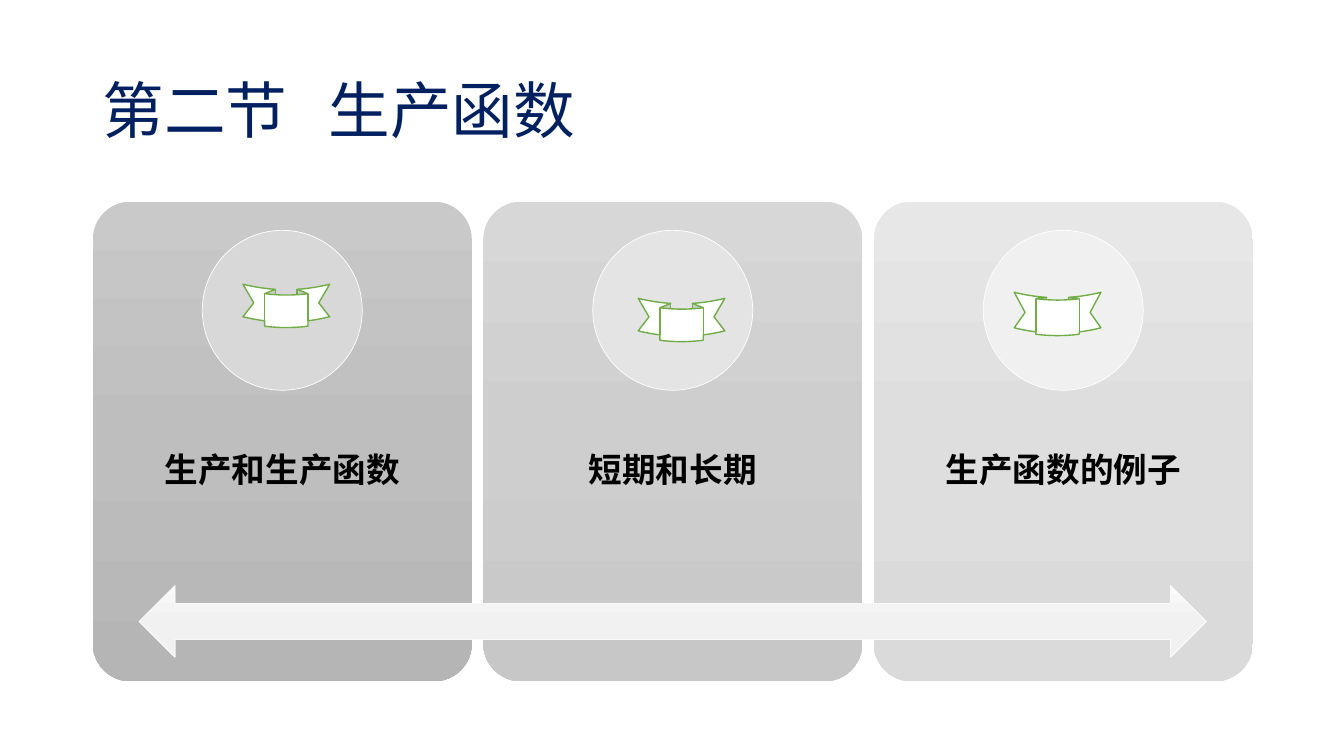
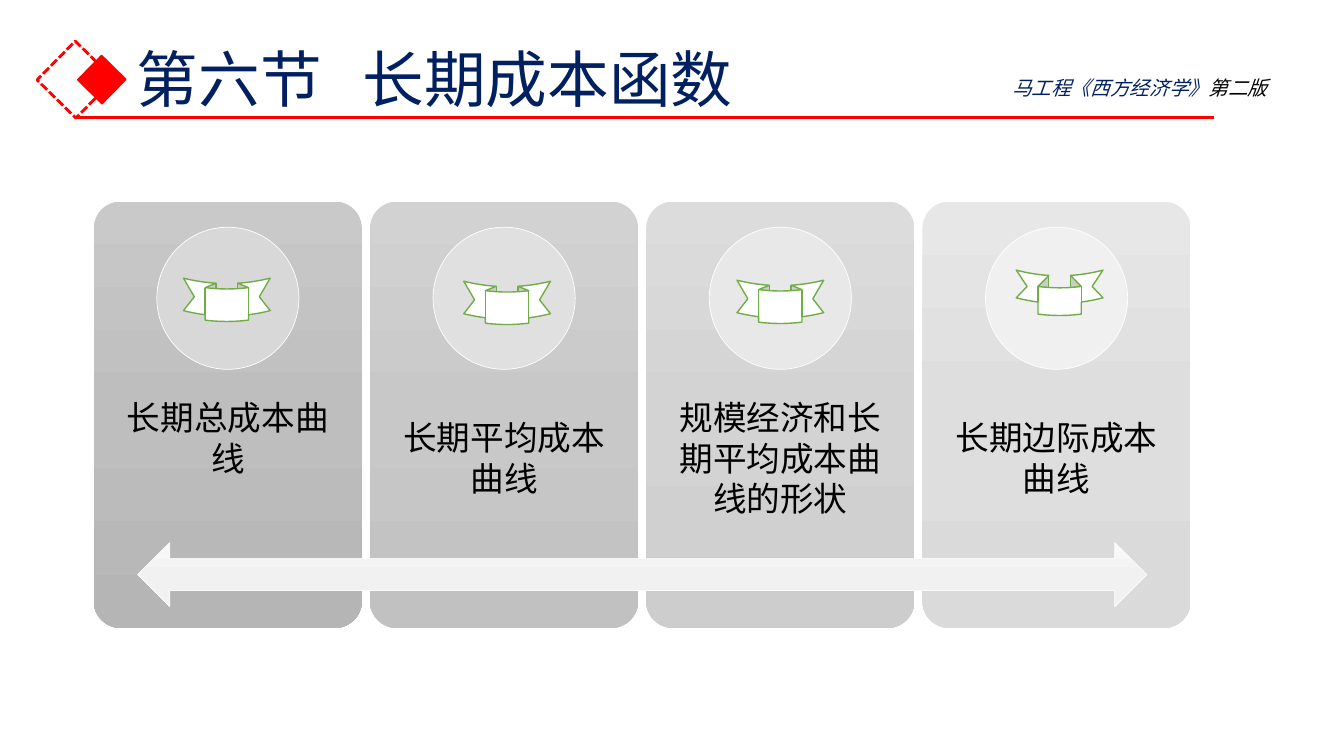
import copy
from dataclasses import dataclass

import lxml.etree
import pptx
import pptx.dml.color
import pptx.enum.dml
import pptx.enum.shapes
import pptx.enum.text
import pptx.oxml.ns
import pptx.util

Inches = pptx.util.Inches
Pt = pptx.util.Pt
KIND = pptx.enum.shapes.MSO_SHAPE
ALIGN = pptx.enum.text.PP_ALIGN
MID = pptx.enum.text.MSO_ANCHOR.MIDDLE
qn = pptx.oxml.ns.qn

# Shared look
FONT = "Noto Sans CJK SC"
HUES = {"navy": "002060", "black": "000000", "white": "FFFFFF",
        "red": "FF0000", "green": "70AD47"}
ARROW = ("FAFAFA", "F1F1F1", "F0F0F0")
TITLE = {"size": Pt(44)}
LABEL = {"size": Pt(24)}
BOLD = {**LABEL, "bold": True}
NOTE = {"size": Pt(14), "italic": True}


@dataclass
class Card:
    text: str
    shades: tuple[str, str, str]
    disc: str
    lift: float = 0  # inches the label sits above the middle


@dataclass
class Ribbon:
    left: float
    top: float
    height: float = 0.43
    fold: float = 0.25


@dataclass
class Panel:
    left: float
    wide: float
    tall: float
    style: dict
    cards: list[Card]
    ribbons: list[Ribbon]
    top: float = 2


DARK = ("C9C9C9", "BEBEBE", "B5B5B5")
LIGHT = ("E7E7E7", "DEDEDE", "DADADA")

FIRST = Panel(0.92, 3.76, 4.76, BOLD, [
    Card("生产和生产函数", DARK, "D8D8D8", 0.2),
    Card("短期和长期", ("D7D7D7", "CECECE", "C7C7C7"), "E4E4E4", 0.2),
    Card("生产函数的例子", LIGHT, "F0F0F0", 0.2),
], [Ribbon(2.41, 2.82), Ribbon(6.33, 2.96), Ribbon(10.06, 2.9, fold=0.18)])

SECOND = Panel(0.93, 2.66, 4.23, LABEL, [
    Card("长期总成本曲线", DARK, "D8D8D8", 0.2),
    Card("长期平均成本曲线", ("D2D2D2", "C8C8C8", "C1C1C1"), "E0E0E0"),
    Card("规模经济和长期平均成本曲线的形状",
         ("DCDCDC", "D3D3D3", "CDCDCD"), "E8E8E8"),
    Card("长期边际成本曲线", LIGHT, "F0F0F0"),
], [Ribbon(1.82, 2.76), Ribbon(4.6, 2.79), Ribbon(7.31, 2.78),
    Ribbon(10.08, 2.68, 0.45, 0.39)])


def rgb(hue: str):
    return pptx.dml.color.RGBColor.from_string(HUES.get(hue, hue))


def blend(shape, shades: tuple[str, str, str]) -> None:
    """Fill from top to bottom through three shades."""
    shape.fill.gradient()
    shape.fill.gradient_angle = 270
    stops = shape._element.spPr.find(qn("a:gradFill")).find(qn("a:gsLst"))
    mid = copy.deepcopy(stops[0])
    mid.set("pos", "50000")
    stops.insert(1, mid)
    for stop, shade in zip(shape.fill.gradient_stops, shades):
        stop.color.rgb = rgb(shade)


def draw(slide, kind, box: tuple, fill=None, line=None, width: float = 1,
         bends: tuple = ()):
    shape = slide.shapes.add_shape(kind, *map(Inches, box))
    shape.shadow.inherit = False
    for spot, bend in enumerate(bends):
        shape.adjustments[spot] = bend
    if isinstance(fill, tuple):
        blend(shape, fill)
    elif fill:
        shape.fill.solid()
        shape.fill.fore_color.rgb = rgb(fill)
    else:
        shape.fill.background()
    if line:
        shape.line.color.rgb = rgb(line)
        shape.line.width = Pt(width)
    else:
        shape.line.fill.background()
    return shape


def write(slide, box: tuple, runs: list[tuple[str, str]], style: dict,
          frame: dict, para: dict, tab: float = 0) -> None:
    """Set one paragraph of (text, hue) runs in a text box."""
    body = slide.shapes.add_textbox(*map(Inches, box)).text_frame
    line = body.paragraphs[0]
    for item, values in ((body, {"word_wrap": True, **frame}), (line, para)):
        for name, value in values.items():
            setattr(item, name, value)
    if tab:
        tabs = lxml.etree.SubElement(line._p.get_or_add_pPr(), qn("a:tabLst"))
        lxml.etree.SubElement(tabs, qn("a:tab"), pos=str(Inches(tab)), algn="l")
    for text, hue in runs:
        run = line.add_run()
        run.text = text
        run.font.color.rgb = rgb(hue)
        for name, value in {"name": FONT, **style}.items():
            setattr(run.font, name, value)
        lxml.etree.SubElement(run._r.get_or_add_rPr(), qn("a:ea"), typeface=FONT)


def head(slide, box: tuple, part: str, topic: str) -> None:
    write(slide, box, [(f"{part}\t{topic}", "navy")], TITLE,
          {"vertical_anchor": MID}, {"line_spacing": 0.9}, tab=2.24)


def show(slide, panel: Panel) -> None:
    """Draw the cards, the arrow across them and the ribbons."""
    top, wide, tall = panel.top, panel.wide, panel.tall
    step = wide * 1.03
    disc = tall / 3
    pads = {f"margin_{side}": Inches(0.19)
            for side in ("left", "right", "top", "bottom")}
    for spot, card in enumerate(panel.cards):
        left = panel.left + spot * step
        draw(slide, KIND.ROUNDED_RECTANGLE, (left, top, wide, tall),
             card.shades, bends=(0.1,))
        write(slide, (left, top + 0.4 * tall - card.lift, wide, 0.4 * tall),
              [(card.text, "black")], panel.style,
              {"vertical_anchor": MID, **pads},
              {"alignment": ALIGN.CENTER, "line_spacing": Pt(29)})
        draw(slide, KIND.OVAL,
             (left + (wide - disc) / 2, top + 0.06 * tall, disc, disc),
             card.disc, "white", 0.5)
    span = step * (len(panel.cards) - 1) + wide
    draw(slide, KIND.LEFT_RIGHT_ARROW,
         (panel.left + 0.04 * span, top + 0.8 * tall, 0.92 * span, 0.15 * tall),
         ARROW, "white", 0.5)
    for item in panel.ribbons:
        draw(slide, KIND.CURVED_DOWN_RIBBON,
             (item.left, item.top, 0.86, item.height), "white", "green",
             bends=(item.fold, 0.5, 0.125))


def band(slide) -> None:
    """Draw the red diamonds, the rule and the book note."""
    frame = draw(slide, KIND.RECTANGLE, (0.48, 0.52, 0.54, 0.54),
                 line="red", width=2)
    frame.line.dash_style = pptx.enum.dml.MSO_LINE.SQUARE_DOT
    block = draw(slide, KIND.RECTANGLE, (0.84, 0.62, 0.34, 0.34), "red", "red")
    for shape in (frame, block):
        shape.rotation = 314.5
    rule = slide.shapes.add_connector(
        pptx.enum.shapes.MSO_CONNECTOR.STRAIGHT,
        *map(Inches, (0.75, 1.17, 12.04, 1.17)))
    rule.line.color.rgb = rgb("red")
    rule.line.width = Pt(2.25)
    lxml.etree.SubElement(rule._element.spPr, qn("a:effectLst"))
    write(slide, (9.94, 0.7, 3.24, 0.34),
          [("马工程《西方经济学》", "navy"), ("第二版", "black")], NOTE, {}, {})


def main() -> None:
    deck = pptx.Presentation()
    deck.slide_width, deck.slide_height = Inches(13.33), Inches(7.5)
    blank = deck.slide_layouts[6]

    # Section two
    slide = deck.slides.add_slide(blank)
    head(slide, (0.92, 0.4, 11.5, 1.45), "第二节", "生产函数")
    show(slide, FIRST)

    # Section six
    slide = deck.slides.add_slide(blank)
    head(slide, (1.26, 0.09, 11.16, 1.45), "第六节", "长期成本函数")
    band(slide)
    show(slide, SECOND)

    deck.save("out.pptx")


if __name__ == "__main__":
    main()
